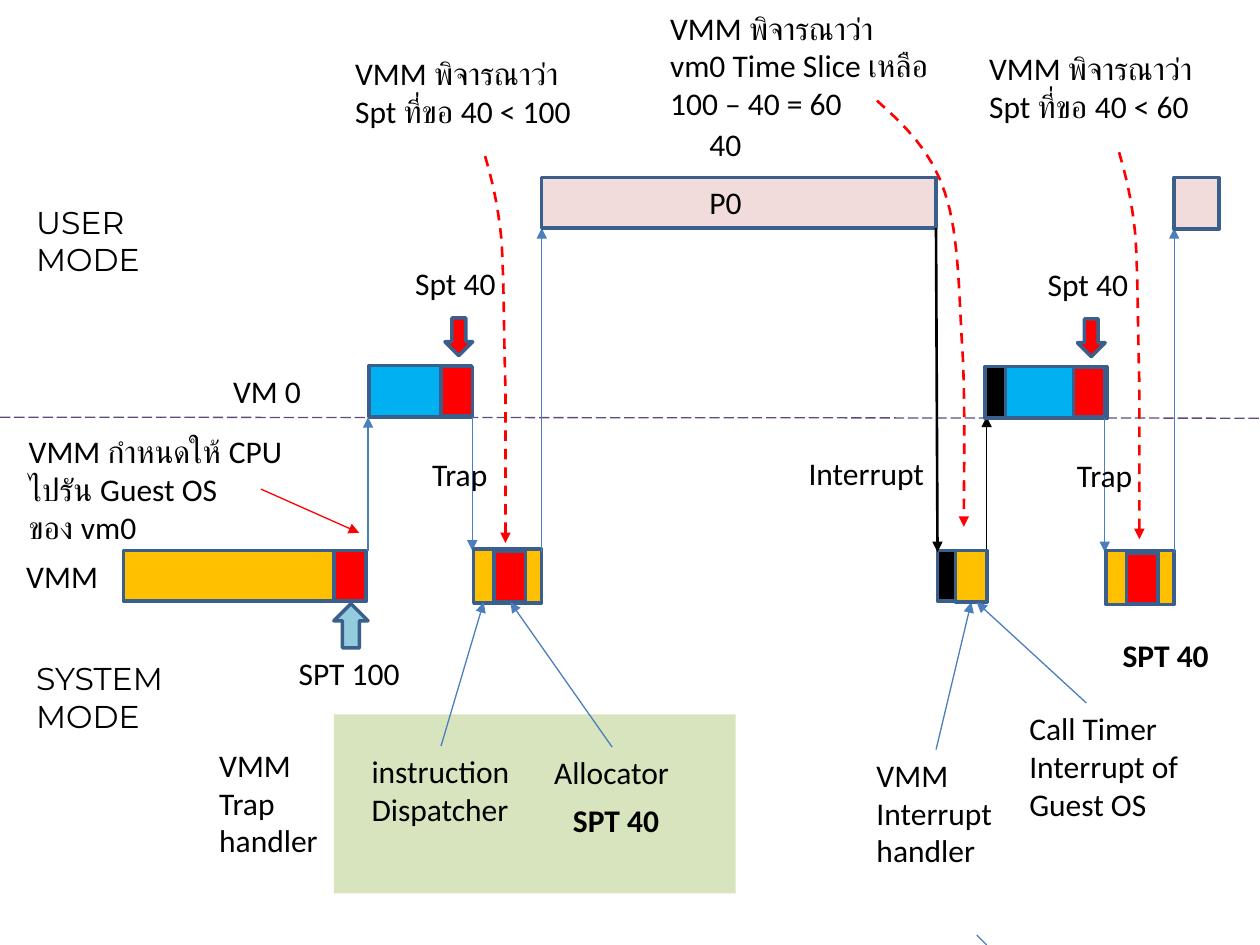
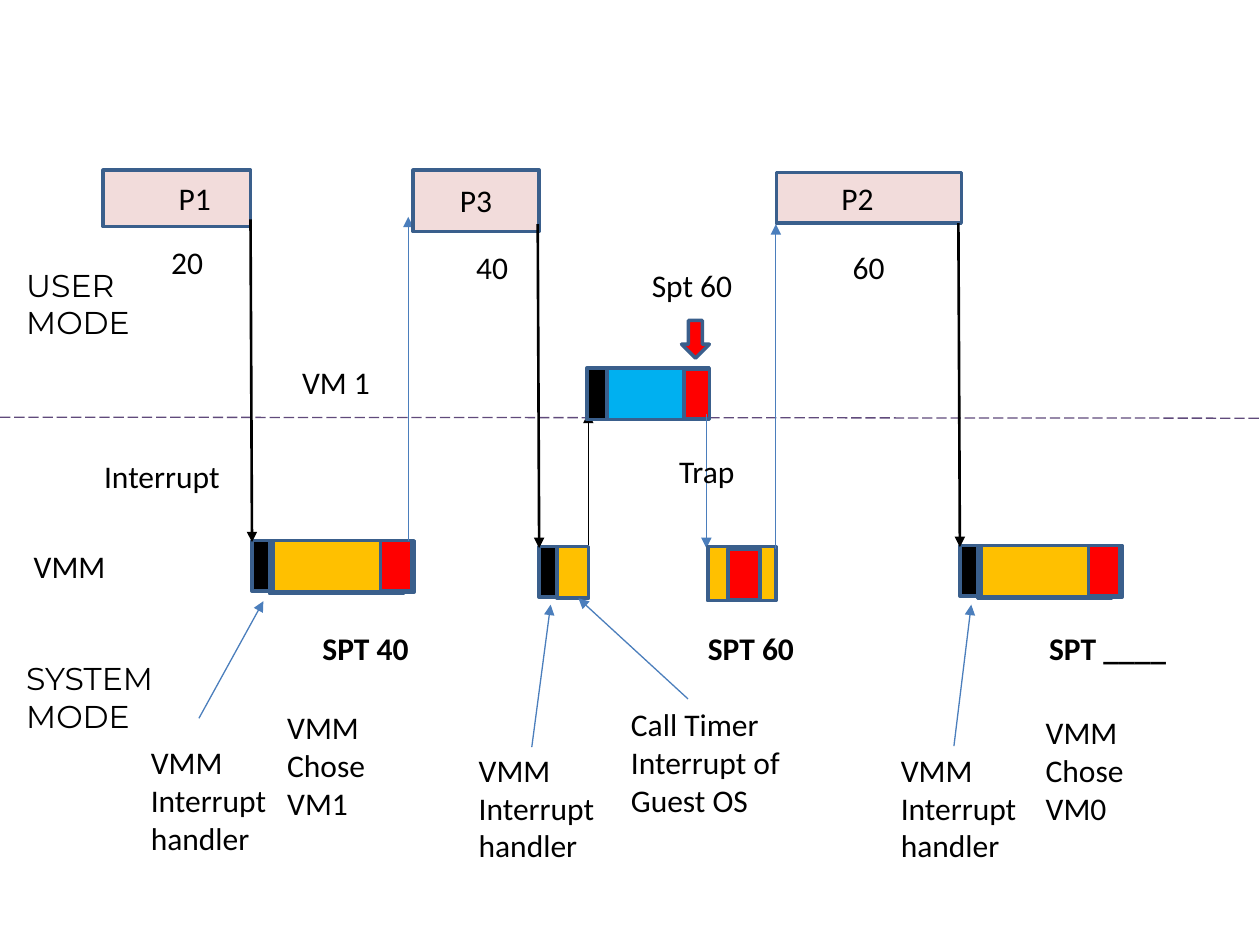
from lxml import etree
from pptx import Presentation
from pptx.dml.color import RGBColor
from pptx.enum.dml import MSO_LINE
from pptx.enum.shapes import MSO_CONNECTOR, MSO_SHAPE
from pptx.enum.text import MSO_ANCHOR, MSO_AUTO_SIZE, PP_ALIGN
from pptx.oxml.ns import qn
from pptx.util import Cm, Pt

RECT, DOWN, UP = MSO_SHAPE.RECTANGLE, MSO_SHAPE.DOWN_ARROW, MSO_SHAPE.UP_ARROW
STRAIGHT = MSO_CONNECTOR.STRAIGHT
DASH, LONG_DASH = MSO_LINE.DASH, MSO_LINE.LONG_DASH
LEFT, TOP = PP_ALIGN.LEFT, MSO_ANCHOR.TOP
GROW = MSO_AUTO_SIZE.SHAPE_TO_FIT_TEXT

BLACK = RGBColor(0x00, 0x00, 0x00)
WHITE = RGBColor(0xFF, 0xFF, 0xFF)
RED = RGBColor(0xFF, 0x00, 0x00)
ORANGE = RGBColor(0xFF, 0xC0, 0x00)
SKY = RGBColor(0x00, 0xB0, 0xF0)
PALE_BLUE = RGBColor(0x93, 0xCD, 0xDD)
PINK = RGBColor(0xF2, 0xDC, 0xDB)
GREEN = RGBColor(0xD7, 0xE4, 0xBD)
OUTLINE = RGBColor(0x3A, 0x5F, 0x8C)
BLUE = RGBColor(0x4B, 0x7E, 0xBC)
PURPLE = RGBColor(0x60, 0x4A, 0x7B)

BODY_FONT, MODE_FONT = "Calibri", "Montserrat"
HANDLER = "VMM\nInterrupt\nhandler"

# Bezier control points and ends, as offsets from the start of the curve
STEEP_CURVE = [(0.13, 0.46), (0.25, 0.89), (0.33, 1.68),
               (0.38, 2.46), (0.38, 3.68), (0.41, 4.7),
               (0.41, 5.72), (0.41, 6.76), (0.41, 7.8)]
WIDE_CURVE = [(0.53, 0.48), (1.09, 0.99), (1.37, 1.86),
              (1.67, 2.72), (1.65, 4.07), (1.73, 5.18),
              (1.78, 6.3), (1.75, 7.44), (1.75, 8.59)]


def block(slide, x, y, w, h, fill, outline=OUTLINE, kind=RECT):
    shape = slide.shapes.add_shape(kind, Cm(x), Cm(y), Cm(w), Cm(h))
    shape.shadow.inherit = False
    shape.fill.solid()
    shape.fill.fore_color.rgb = fill
    if outline is None:
        shape.line.fill.background()
    else:
        shape.line.color.rgb = outline
        shape.line.width = Pt(2)
    return shape


def text_height(text):
    return 0.26 + 0.77 * len(text.split("\n"))


def write(shape, text, font=BODY_FONT, bold=False, wrap=False):
    frame = shape.text_frame
    frame.text = text
    frame.word_wrap = wrap
    frame.auto_size = GROW
    frame.vertical_anchor = TOP
    for paragraph in frame.paragraphs:
        paragraph.alignment = LEFT
        for run in paragraph.runs:
            run.font.name = font
            run.font.size = Pt(18)
            run.font.bold = bold
            run.font.color.rgb = BLACK


def label(slide, text, x, y, w, font=BODY_FONT, bold=False):
    box = slide.shapes.add_textbox(Cm(x), Cm(y), Cm(w), Cm(text_height(text)))
    write(box, text, font, bold)


def note(slide, text, x, y, w):
    """White box with a remark on what the VMM considers."""
    write(block(slide, x, y, w, text_height(text), WHITE, outline=None), text, wrap=True)


def add_arrowhead(shape):
    etree.SubElement(shape.element.spPr.find(qn("a:ln")), qn("a:tailEnd"), type="triangle")


def line(slide, x1, y1, x2, y2, color=BLUE, width=0.75):
    connector = slide.shapes.add_connector(STRAIGHT, Cm(x1), Cm(y1), Cm(x2), Cm(y2))
    connector.line.color.rgb = color
    connector.line.width = Pt(width)
    etree.SubElement(connector.element.spPr, qn("a:effectLst"))
    return connector


def arrow(slide, x1, y1, x2, y2, color=BLUE, width=0.75):
    add_arrowhead(line(slide, x1, y1, x2, y2, color, width))


def bezier(p0, p1, p2, p3, t):
    u = 1 - t
    return tuple(u**3 * a + 3 * u * u * t * b + 3 * u * t * t * c + t**3 * d
                 for a, b, c, d in zip(p0, p1, p2, p3))


def curved_arrow(slide, x, y, offsets, steps=8):
    points = [(0, 0)]
    for i in range(0, len(offsets), 3):
        start = points[-1]
        points += [bezier(start, *offsets[i:i + 3], n / steps) for n in range(1, steps + 1)]
    builder = slide.shapes.build_freeform(Cm(x), Cm(y))
    builder.add_line_segments([(Cm(x + dx), Cm(y + dy)) for dx, dy in points[1:]], close=False)
    curve = builder.convert_to_shape()
    curve.shadow.inherit = False
    curve.fill.background()
    curve.line.color.rgb = RED
    curve.line.width = Pt(1.5)
    curve.line.dash_style = DASH
    add_arrowhead(curve)


def mode_areas(slide, x, user_y, vmm_x, vmm_y):
    """Divider between user and system mode, with the row names."""
    line(slide, 0, 8.41, 25.4, 8.43, PURPLE).line.dash_style = LONG_DASH
    label(slide, "USER\nMODE", x, user_y, 2.69, MODE_FONT)
    label(slide, "SYSTEM\nMODE", x, 13.16, 3.66, MODE_FONT)
    label(slide, "VMM", vmm_x, vmm_y, 1.98)


def process(slide, name, x, y, w, h, name_x, name_y):
    block(slide, x, y, w, h, PINK)
    label(slide, name, name_x, name_y, 1.65)


def guest_os(slide, x, y, spt_x, spt_w, request, after_interrupt=True):
    """Guest run that ends in a request to set the process timer."""
    if after_interrupt:
        block(slide, x - 0.41, y, 0.41, 1.04, BLACK)
    block(slide, x, y, 2.06, 1.04, SKY)
    block(slide, spt_x, y + 0.02, spt_w, 1.0, RED)
    pointer_x = spt_x + spt_w - 0.56
    block(slide, pointer_x, y - 0.96, 0.56, 0.76, RED, kind=DOWN)
    label(slide, request, pointer_x - 0.85, y - 2.18, 2.16)


def trap_handling(slide, x, y, process_y, trap_x):
    """Trap into the VMM and return to the process above."""
    arrow(slide, x - 0.03, y - 2.67, x - 0.03, y + 0.03)
    block(slide, x, y, 1.37, 1.09, ORANGE)
    label(slide, "Trap", trap_x, y - 2.03, 1.65)
    block(slide, x + 0.41, y + 0.05, 0.64, 1.02, RED)
    arrow(slide, x + 1.37, y + 0.05, x + 1.37, process_y)


def interrupt(slide, x, y, process_y):
    block(slide, x, y, 0.36, 1.02, BLACK)
    arrow(slide, x - 0.03, process_y, x, y + 0.03, BLACK, 1.5)


def handler_callout(slide, x, y, start, tip):
    label(slide, HANDLER, x, y, 2.87)
    arrow(slide, *start, *tip)


def call_guest_timer(slide, x, y):
    """Second half of an interrupt at x: hand it on to the guest."""
    block(slide, x + 0.36, y, 0.64, 1.04, ORANGE)
    arrow(slide, x + 0.99, y - 0.03, x + 0.99, y - 2.7, BLACK)
    label(slide, "Call Timer\nInterrupt of\nGuest OS", x + 1.6, y + 3.07, 3.68)
    arrow(slide, x + 3, y + 3.07, x + 0.79, y + 1.04)


def choose_vm(slide, x, y, chosen, label_x, label_y):
    """Second half of an interrupt at x: schedule a virtual machine."""
    block(slide, x + 0.36, y, 2.69, 1.07, ORANGE)
    block(slide, x + 0.43, y, 2.84, 1.04, ORANGE)
    block(slide, x + 2.59, y, 0.64, 1.02, RED)
    label(slide, f"VMM\nChose\n{chosen}", label_x, label_y, 2.11)


def build_first_slice(slide):
    block(slide, 6.73, 14.4, 8.1, 3.61, GREEN, outline=None)
    mode_areas(slide, 0.48, 3.96, 0.28, 11.1)
    label(slide, "VM 0", 4.45, 7.37, 1.9)

    block(slide, 2.49, 11.1, 4.9, 1.02, ORANGE)
    block(slide, 6.73, 11.1, 0.64, 1.02, RED)
    block(slide, 6.73, 12.17, 0.69, 0.89, PALE_BLUE, kind=UP)
    label(slide, "SPT 100", 5.77, 13.06, 2.57)
    label(slide, "VMM กำหนดให้ CPU\nไปรัน Guest OS\nของ vm0", 0.33, 8.59, 5.84)
    arrow(slide, 5.26, 9.86, 7.24, 10.74, RED)
    arrow(slide, 7.42, 11.1, 7.42, 8.41)

    guest_os(slide, 7.44, 7.37, 8.89, 0.64, "Spt 40", after_interrupt=False)
    trap_handling(slide, 9.55, 11.07, 4.6, 8.46)
    label(slide, "VMM\nTrap\nhandler", 4.17, 14.91, 2.51)
    label(slide, "instruction\nDispatcher", 7.24, 15.04, 3.33)
    label(slide, "Allocator", 10.92, 15.06, 2.84)
    label(slide, "SPT 40", 11.3, 16.03, 2.26, bold=True)
    arrow(slide, 8.89, 15.04, 9.75, 12.14)
    arrow(slide, 12.34, 15.06, 10.29, 12.14)

    process(slide, "P0", 10.92, 3.58, 7.95, 1.02, 14.05, 3.56)
    label(slide, "Interrupt", 16.05, 9.02, 2.87)
    interrupt(slide, 18.9, 11.1, 4.6)
    handler_callout(slide, 17.42, 15.11, (18.87, 15.11), (19.58, 12.14))
    call_guest_timer(slide, 18.9, 11.1)

    guest_os(slide, 20.27, 7.39, 21.64, 0.64, "Spt 40")
    trap_handling(slide, 22.3, 11.1, 4.6, 21.46)
    label(slide, "SPT 40", 22.38, 12.7, 2.26, bold=True)
    block(slide, 23.67, 3.58, 0.91, 1.04, PINK)
    line(slide, 19.69, 18.85, 19.89, 19.05)

    note(slide, "VMM พิจารณาว่า\nvm0 Time Slice เหลือ\n100 – 40 = 60", 13.26, 0.05, 6.88)
    label(slide, "40", 14.05, 2.39, 1.17)
    note(slide, "VMM พิจารณาว่า\nSpt ที่ขอ 40 < 60", 19.69, 0.86, 5.71)
    note(slide, "VMM พิจารณาว่า\nSpt ที่ขอ 40 < 100", 6.91, 0.97, 5.74)
    curved_arrow(slide, 17.68, 2.03, WIDE_CURVE)
    curved_arrow(slide, 22.56, 3.07, STEEP_CURVE)
    curved_arrow(slide, 9.78, 3.15, STEEP_CURVE)


def build_next_slices(slide):
    mode_areas(slide, 0.28, 5.23, 0.43, 10.9)
    label(slide, "Interrupt", 1.85, 9.09, 2.87)
    label(slide, "VM 1", 5.84, 7.19, 1.9)

    process(slide, "P1", 2.08, 3.43, 2.97, 1.14, 3.35, 3.48)
    label(slide, "20", 3.2, 4.78, 1.17)
    interrupt(slide, 5.08, 10.9, 4.42)
    handler_callout(slide, 2.79, 14.86, (4.01, 14.48), (5.31, 12.12))
    choose_vm(slide, 5.08, 10.9, "VM1", 5.54, 14.15)
    label(slide, "SPT 40", 6.25, 12.55, 2.41, bold=True)
    arrow(slide, 8.23, 10.9, 8.23, 4.37)

    process(slide, "P3", 8.33, 3.43, 2.54, 1.24, 9.02, 3.53)
    label(slide, "40", 9.35, 4.88, 1.17)
    interrupt(slide, 10.87, 11.02, 4.52)
    handler_callout(slide, 9.4, 15.01, (10.72, 15.06), (11.1, 12.19))
    call_guest_timer(slide, 10.87, 11.02)

    guest_os(slide, 12.24, 7.42, 13.79, 0.51, "Spt 60")
    trap_handling(slide, 14.27, 11.02, 4.52, 13.44)
    label(slide, "SPT 60", 14.02, 12.55, 2.26, bold=True)

    process(slide, "P2", 15.65, 3.48, 3.73, 1.02, 16.71, 3.48)
    label(slide, "60", 16.94, 4.88, 1.17)
    interrupt(slide, 19.35, 11, 4.5)
    handler_callout(slide, 17.91, 15.01, (19.23, 15.04), (19.58, 12.19))
    choose_vm(slide, 19.35, 11, "VM0", 20.83, 14.25)
    label(slide, "SPT ____", 20.9, 12.55, 2.9, bold=True)


def main():
    deck = Presentation()
    deck.slide_width, deck.slide_height = Cm(25.4), Cm(19.05)
    blank = deck.slide_layouts[6]
    for build in (build_first_slice, build_next_slices):
        build(deck.slides.add_slide(blank))
    deck.save("out.pptx")


if __name__ == "__main__":
    main()
